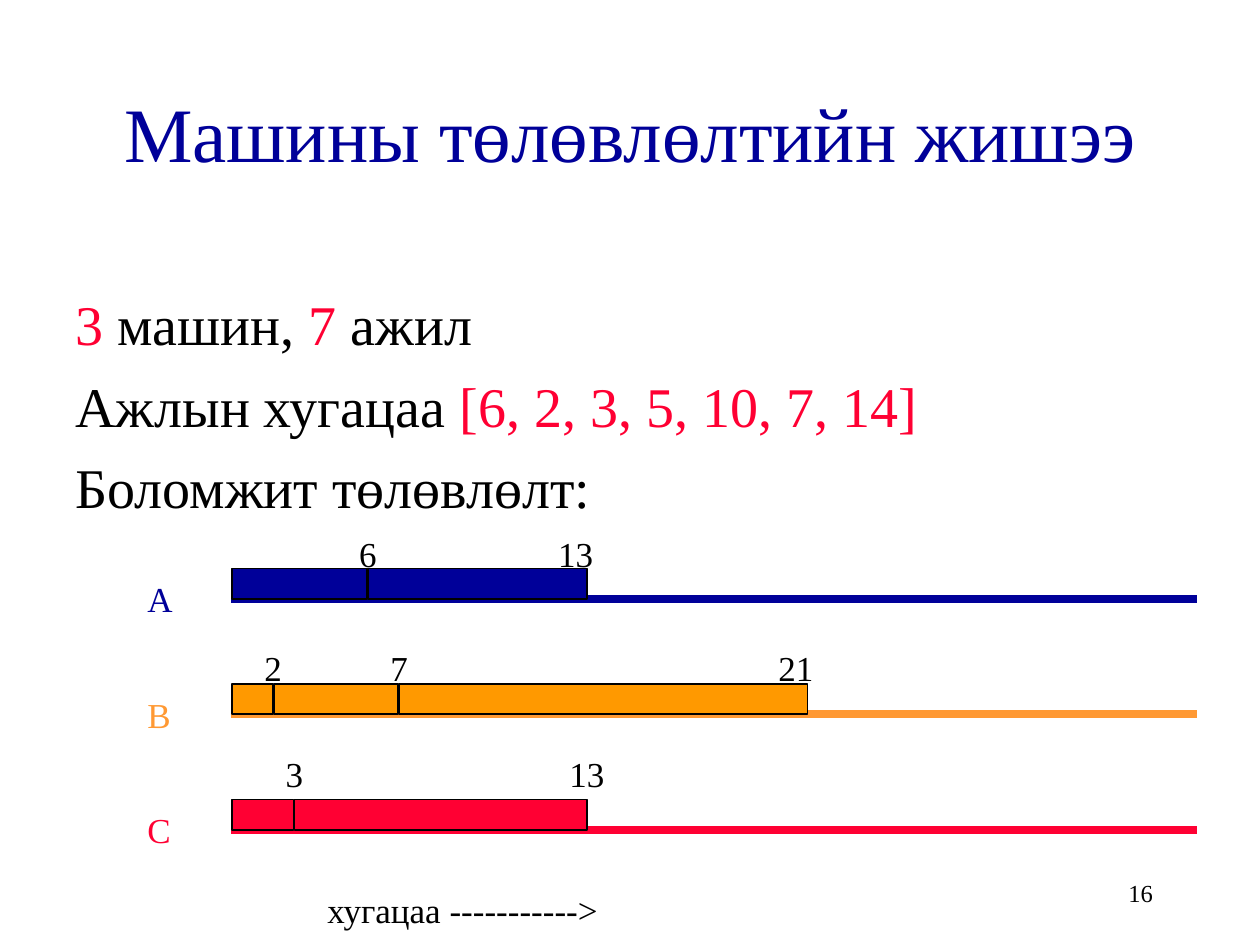
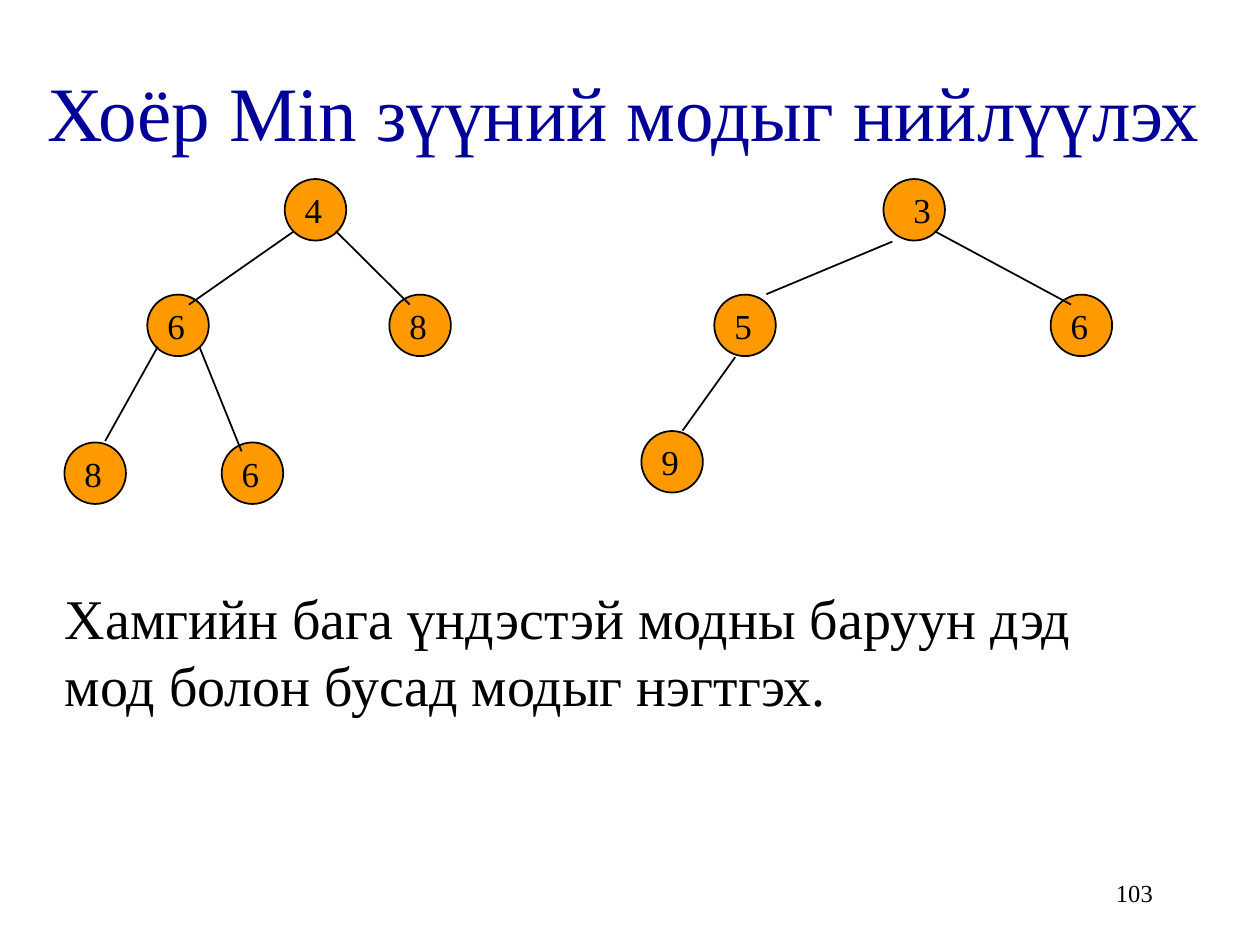
from typing import NamedTuple

import pptx
import pptx.dml.color
import pptx.enum.shapes
import pptx.enum.text
import pptx.oxml
import pptx.oxml.ns
import pptx.shapes.autoshape
import pptx.slide
import pptx.util

Cm = pptx.util.Cm
Pt = pptx.util.Pt
Align = pptx.enum.text.PP_ALIGN
Anchor = pptx.enum.text.MSO_ANCHOR
Shapes = pptx.enum.shapes.MSO_SHAPE

FONT = "Times New Roman"
COLOURS = {
    "black": "000000",
    "blue": "000099",
    "orange": "FF9900",
    "light orange": "FF9933",
    "red": "FF0033",
}


class Area(NamedTuple):
    """Left, top, width and height in centimetres."""
    left: float
    top: float
    width: float
    height: float


class Span(NamedTuple):
    text: str
    colour: str = "black"


class Job(NamedTuple):
    """Finish time of a job, right edge of its bar, left edge of its label."""
    finish: int
    right: float
    label_left: float


class Machine(NamedTuple):
    name: str
    axis_colour: str
    bar_colour: str
    label_rise: float
    jobs: list[Job]


class Node(NamedTuple):
    """A heap node; a positive nudge moves its key to the right."""
    key: int
    left: float
    top: float
    nudge: float = -0.04


class Edge(NamedTuple):
    start_x: float
    start_y: float
    end_x: float
    end_y: float


MACHINES = [
    Machine("A", "blue", "blue", 1.47, [Job(6, 7.4, 6.99), Job(13, 11.84, 11)]),
    Machine("B", "light orange", "orange", 1.49,
            [Job(2, 5.5, 5.08), Job(7, 8.03, 7.62), Job(21, 16.28, 15.44)]),
    Machine("C", "red", "red", 1.68, [Job(3, 5.92, 5.51), Job(13, 11.84, 11.23)]),
]
FIRST_AXIS, AXIS_PITCH = 12.07, 2.33
AXIS_LEFT, AXIS_RIGHT = 4.66, 24.13
BAR_HEIGHT, BAR_GAP = 0.61, 0.02

NODE_SIZE = 1.24
ROOT_TOP, CHILD_TOP = 3.61, 5.94
NODES = [
    Node(4, 5.74, ROOT_TOP),
    Node(6, 2.97, CHILD_TOP),
    Node(8, 7.85, CHILD_TOP),
    Node(8, 1.3, 8.92),
    Node(6, 4.47, 8.92),
    Node(3, 17.81, ROOT_TOP, 0.16),
    Node(5, 14.4, CHILD_TOP),
    Node(6, 21.18, CHILD_TOP),
    Node(9, 12.93, 8.69),
]
EDGES = [
    Edge(5.93, 4.66, 3.81, 6.14),
    Edge(6.77, 4.66, 8.26, 6.14),
    Edge(3.18, 6.99, 2.12, 8.89),
    Edge(4.02, 6.99, 4.87, 9.1),
    Edge(17.99, 4.87, 15.45, 5.93),
    Edge(18.84, 4.66, 21.59, 6.14),
    Edge(14.82, 7.2, 13.76, 8.68),
]


def rgb(colour: str) -> pptx.dml.color.RGBColor:
    return pptx.dml.color.RGBColor.from_string(COLOURS[colour])


def add_text(page: pptx.slide.Slide, area: Area, lines: list[list[Span]], size: float,
             align: Align = Align.LEFT, anchor: Anchor = Anchor.TOP,
             space_before: float = 0, wrap: bool = True) -> None:
    box = page.shapes.add_textbox(*map(Cm, area))
    frame = box.text_frame
    frame.word_wrap = wrap
    frame.vertical_anchor = anchor
    for number, spans in enumerate(lines):
        para = frame.add_paragraph() if number else frame.paragraphs[0]
        para.alignment = align
        para.space_before = Pt(space_before)
        para.font.name = FONT
        para.font.size = Pt(size)
        for span in spans:
            run = para.add_run()
            run.text = span.text
            run.font.color.rgb = rgb(span.colour)


def add_line(page: pptx.slide.Slide, edge: Edge, colour: str, width: float) -> None:
    line = page.shapes.add_connector(
        pptx.enum.shapes.MSO_CONNECTOR.STRAIGHT, *map(Cm, edge))
    line.line.color.rgb = rgb(colour)
    line.line.width = Pt(width)
    properties = line._element.spPr
    properties.append(pptx.oxml.parse_xml(
        f"<a:effectLst {pptx.oxml.ns.nsdecls('a')}/>"))


def add_outlined(page: pptx.slide.Slide, kind: Shapes, area: Area,
                 colour: str) -> pptx.shapes.autoshape.Shape:
    """Draw a filled shape with a thin black outline."""
    shape = page.shapes.add_shape(kind, *map(Cm, area))
    shape.shadow.inherit = False
    shape.fill.solid()
    shape.fill.fore_color.rgb = rgb(colour)
    shape.line.color.rgb = rgb("black")
    shape.line.width = Pt(1)
    return shape


def add_page(deck: pptx.Presentation, title: str, title_area: Area,
             number: int) -> pptx.slide.Slide:
    page = deck.slides.add_slide(deck.slide_layouts[6])
    add_text(page, title_area, [[Span(title, "blue")]], 44, Align.CENTER, Anchor.MIDDLE)
    add_text(page, Area(18.2, 17.36, 5.29, 1.27), [[Span(str(number))]], 14,
             Align.RIGHT, Anchor.MIDDLE)
    return page


def add_machine(page: pptx.slide.Slide, machine: Machine, axis: float) -> None:
    """Draw the time axis of one machine with its jobs end to end."""
    add_line(page, Edge(AXIS_LEFT, axis, AXIS_RIGHT, axis), machine.axis_colour, 4.5)
    add_text(page, Area(2.72, axis - 0.55, 1, 1.09),
             [[Span(machine.name, machine.axis_colour)]], 20, wrap=False)
    left = AXIS_LEFT + BAR_GAP
    for job in machine.jobs:
        add_outlined(page, Shapes.RECTANGLE,
                     Area(left, axis - BAR_HEIGHT, job.right - left, BAR_HEIGHT),
                     machine.bar_colour)
        add_text(page, Area(job.label_left, axis - machine.label_rise, 1.5, 1.09),
                 [[Span(str(job.finish))]], 20)
        left = job.right + BAR_GAP


def add_node(page: pptx.slide.Slide, node: Node) -> None:
    circle = add_outlined(page, Shapes.OVAL,
                          Area(node.left, node.top, NODE_SIZE, NODE_SIZE), "orange")
    frame = circle.text_frame
    frame.margin_top = frame.margin_bottom = 0
    frame.margin_left = Cm(max(2 * node.nudge, 0))
    frame.margin_right = Cm(max(-2 * node.nudge, 0))
    frame.vertical_anchor = Anchor.MIDDLE
    para = frame.paragraphs[0]
    para.text = str(node.key)
    para.alignment = Align.CENTER
    para.font.name = FONT
    para.font.size = Pt(20)
    para.font.color.rgb = rgb("black")


def build_schedule_page(deck: pptx.Presentation) -> None:
    page = add_page(deck, "Машины төлөвлөлтийн жишээ", Area(1.91, 1.06, 21.59, 3.18), 16)
    add_text(page, Area(1.27, 5.72, 20.53, 9.53), [
        [Span("3 ", "red"), Span("машин, "), Span("7 ", "red"), Span("ажил")],
        [Span("Ажлын хугацаа "), Span("[6, 2, 3, 5, 10, 7, 14]", "red")],
        [Span("Боломжит төлөвлөлт:")],
    ], 32, space_before=8)
    for row, machine in enumerate(MACHINES):
        add_machine(page, machine, FIRST_AXIS + row * AXIS_PITCH)
    add_text(page, Area(6.35, 17.78, 8.69, 1.09), [[Span("хугацаа ----------->")]], 20)


def build_heap_page(deck: pptx.Presentation) -> None:
    page = add_page(deck, "Хоёр Min зүүний модыг нийлүүлэх",
                    Area(0.2, 0.64, 24.77, 3.18), 103)
    for node in NODES:
        add_node(page, node)
    for edge in EDGES:
        add_line(page, edge, "black", 1)
    add_text(page, Area(1.06, 11.64, 22.23, 2.97), [[Span(
        "Хамгийн бага үндэстэй модны баруун дэд мод болон бусад модыг нэгтгэх.")]], 32,
        space_before=20)


def main() -> None:
    deck = pptx.Presentation()
    deck.slide_width, deck.slide_height = Cm(25.4), Cm(19.05)
    build_schedule_page(deck)
    build_heap_page(deck)
    deck.save("out.pptx")


if __name__ == "__main__":
    main()
